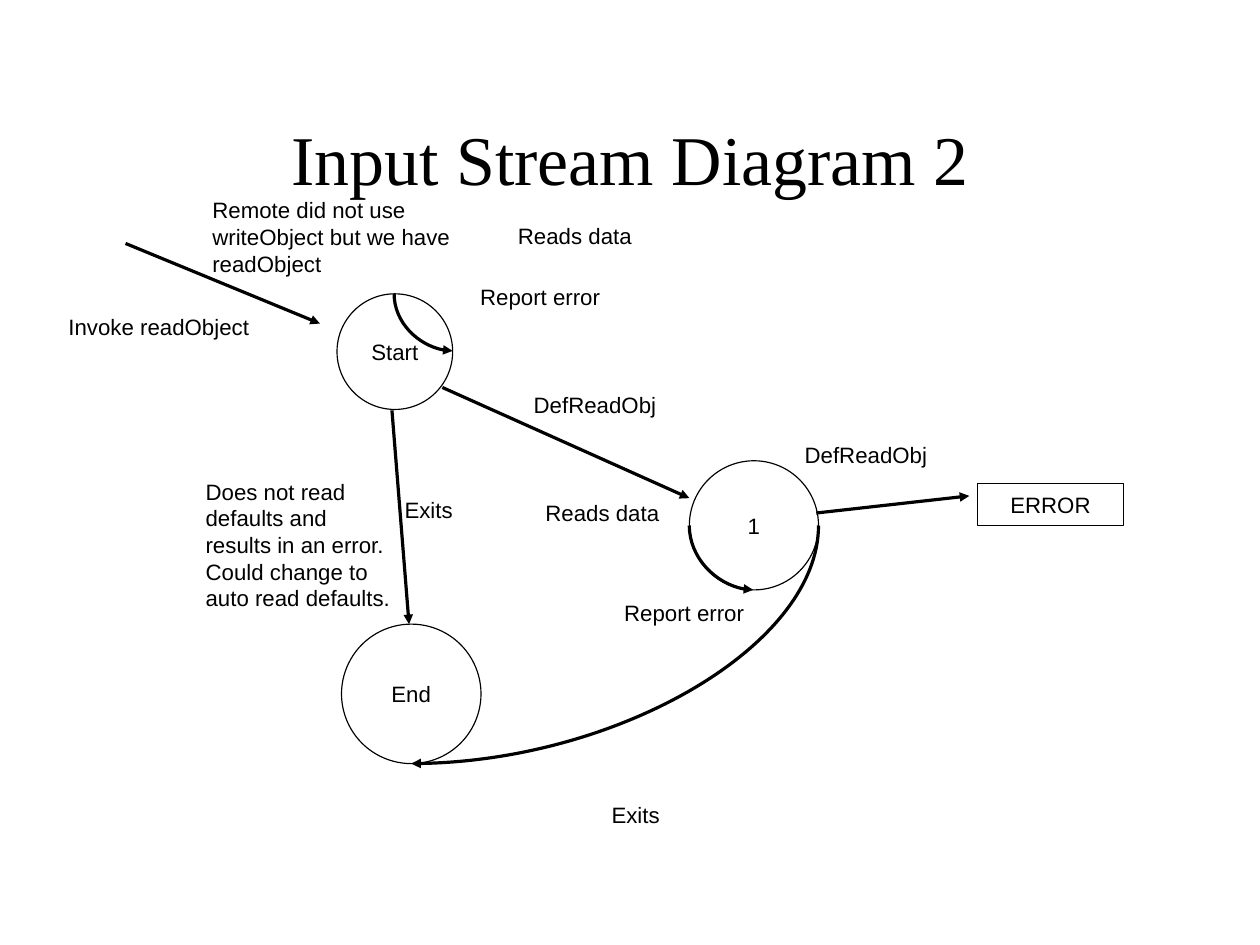
from pptx import Presentation
from pptx.dml.color import RGBColor
from pptx.enum.shapes import MSO_CONNECTOR as Link, MSO_SHAPE as Shape
from pptx.enum.text import MSO_ANCHOR as Anchor, MSO_AUTO_SIZE as Fit, PP_ALIGN as Align
from pptx.oxml.ns import qn
from pptx.util import Cm, Pt
from lxml.etree import SubElement

COLOURS = {"ink": "000000"}
INK = RGBColor.from_string(COLOURS["ink"])


def write(frame, text, font="Arial", size=14, align=Align.LEFT, anchor=Anchor.TOP, fit=Fit.NONE):
    frame.margin_left = frame.margin_right = frame.margin_top = frame.margin_bottom = 0
    frame.word_wrap = True
    frame.auto_size = fit
    frame.vertical_anchor = anchor
    para = frame.paragraphs[0]
    para.alignment = align
    span = para.add_run()
    span.text = text
    span.font.name = font
    span.font.size = Pt(size)
    span.font.color.rgb = INK


class Diagram:
    """A state diagram page with hairline shapes, arrows and labels."""

    def __init__(self, deck):
        self.page = deck.slides.add_slide(deck.slide_layouts[5])
        self.shapes = self.page.shapes

    def title(self, text, left, top, width, height):
        box = self.shapes.title
        box.left, box.top, box.width, box.height = map(Cm, (left, top, width, height))
        write(box.text_frame, text, font="Times New Roman", size=44,
              align=Align.CENTER, anchor=Anchor.MIDDLE)

    def label(self, text, left, top, width, height=0.61):
        box = self.shapes.add_textbox(*map(Cm, (left, top, width, height)))
        write(box.text_frame, text, fit=Fit.SHAPE_TO_FIT_TEXT)

    def state(self, text, left, top, width, height=None, kind=Shape.OVAL):
        node = self.shapes.add_shape(kind, *map(Cm, (left, top, width, height or width)))
        node.shadow.inherit = False
        node.fill.background()
        self.hairline(node)
        write(node.text_frame, text, align=Align.CENTER, anchor=Anchor.MIDDLE)

    def arrow(self, *ends):
        self.connect(Link.STRAIGHT, ends, "a:tailEnd")

    def curve(self, *ends):
        link = self.connect(Link.CURVE, ends, "a:headEnd")
        link._element.spPr.find(qn("a:prstGeom")).set("prst", "curvedConnector2")

    def connect(self, kind, ends, tip):
        link = self.shapes.add_connector(kind, *map(Cm, ends))
        self.hairline(link)
        SubElement(link.line._get_or_add_ln(), qn(tip), type="triangle")
        SubElement(link._element.spPr, qn("a:effectLst"))
        return link

    def hairline(self, item):
        item.line.color.rgb = INK
        item.line.width = Pt(0)


def main():
    deck = Presentation()
    deck.slide_width, deck.slide_height = Cm(28), Cm(21)
    diagram = Diagram(deck)
    diagram.title("Input Stream Diagram 2", 2.06, 1.75, 23.9, 3.5)

    diagram.state("Start", 7.49, 6.53, 2.57)
    diagram.state("End", 7.59, 13.87, 3.1)
    diagram.state("1", 15.32, 10.24, 2.87)
    diagram.state("ERROR", 21.72, 10.74, 3.25, 0.94, kind=Shape.RECTANGLE)

    for ends in [
        (2.79, 5.41, 7.11, 7.19),
        (8.71, 9.12, 9.09, 13.87),
        (9.83, 8.61, 15.32, 11.07),
        (18.14, 11.4, 21.54, 11.02),
    ]:
        diagram.arrow(*ends)
    for ends in [
        (10.06, 7.8, 8.76, 6.53),
        (16.74, 13.11, 15.32, 11.68),
        (9.14, 16.97, 18.19, 11.68),
    ]:
        diagram.curve(*ends)

    for label in [
        ("Remote did not use writeObject but we have readObject", 4.72, 4.37, 6.32, 1.85),
        ("Invoke readObject", 1.52, 6.96, 5),
        ("Reads data", 11.51, 4.95, 5.28),
        ("Report error", 10.67, 6.3, 3.91),
        ("Exits", 8.99, 11.02, 2.54),
        ("DefReadObj", 11.86, 8.69, 4.32),
        ("DefReadObj", 17.88, 9.8, 3.61),
        ("Reads data", 12.12, 11.1, 2.72),
        ("Report error", 13.87, 13.31, 3.33),
        ("Exits", 13.59, 17.81, 3.45),
        ("Does not read defaults and results in an error. Could change to auto read defaults.",
         4.57, 10.62, 4.17, 3.1),
    ]:
        diagram.label(*label)

    deck.save("out.pptx")


if __name__ == "__main__":
    main()
